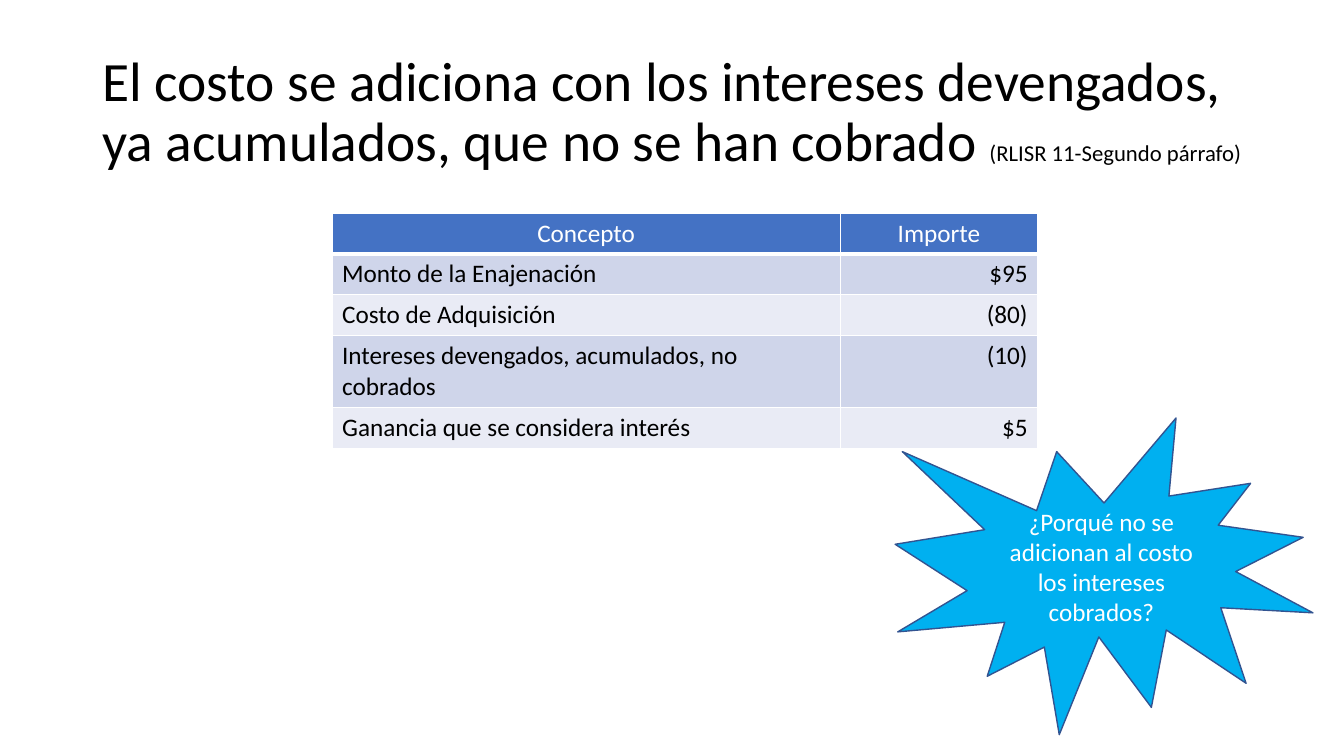
import lxml.etree
import pptx
import pptx.dml.color
import pptx.enum.shapes
import pptx.enum.text
import pptx.oxml.ns
import pptx.util

Pt = pptx.util.Pt
RGBColor = pptx.dml.color.RGBColor
ALIGN = pptx.enum.text.PP_ALIGN
ANCHOR = pptx.enum.text.MSO_ANCHOR
qn = pptx.oxml.ns.qn

WHITE = RGBColor(0xFF, 0xFF, 0xFF)
BLACK = RGBColor(0x00, 0x00, 0x00)
HEADER_BLUE = RGBColor(0x44, 0x72, 0xC4)
BANDS = (RGBColor(0xCF, 0xD5, 0xEA), RGBColor(0xE9, 0xEB, 0xF5))
STAR_BLUE = RGBColor(0x00, 0xB0, 0xF0)
STAR_LINE = RGBColor(0x32, 0x54, 0x91)

ROWS = (
    ("Concepto", "Importe"),
    ("Monto de la Enajenación", "$95"),
    ("Costo de Adquisición", "(80)"),
    ("Intereses devengados, acumulados, no cobrados", "(10)"),
    ("Ganancia que se considera interés", "$5"),
)
COLUMN_WIDTHS = (363, 141)
ROW_HEIGHTS = (29.2, 29.2, 29.2, 50.7, 29.2)


def write_text(para, text, size=18, color=BLACK, align=ALIGN.LEFT):
    para.alignment = align
    span = para.add_run()
    span.text = text
    span.font.name = "Calibri"
    span.font.size = Pt(size)
    span.font.bold = False
    span.font.color.rgb = color


def place(shape, left, top, width, height):
    shape.left, shape.top = Pt(left), Pt(top)
    shape.width, shape.height = Pt(width), Pt(height)


def add_title(page):
    title = page.shapes.title
    place(title, 66, 28.75, 828, 104.4)
    frame = title.text_frame
    frame.word_wrap = True
    frame.auto_size = pptx.enum.text.MSO_AUTO_SIZE.NONE
    frame.vertical_anchor = ANCHOR.MIDDLE
    para = frame.paragraphs[0]
    para.line_spacing = 0.9
    write_text(para, "El costo se adiciona con los intereses devengados, "
               "ya acumulados, que no se han cobrado ", size=39.6)
    write_text(para, "(RLISR 11-Segundo párrafo)", size=16.2)


def set_borders(cell, bottom):
    properties = cell._tc.get_or_add_tcPr()
    for side, width in (("L", 1), ("R", 1), ("T", 1), ("B", bottom)):
        line = lxml.etree.SubElement(properties, qn("a:ln" + side), w=str(Pt(width)))
        fill = lxml.etree.SubElement(line, qn("a:solidFill"))
        lxml.etree.SubElement(fill, qn("a:srgbClr"), val=str(WHITE))


def add_gain_table(page):
    frame = page.shapes.add_table(len(ROWS), len(COLUMN_WIDTHS), Pt(237.2), Pt(152.2),
                                  Pt(sum(COLUMN_WIDTHS)), Pt(sum(ROW_HEIGHTS)))
    table = frame.table
    for column, width in zip(table.columns, COLUMN_WIDTHS):
        column.width = Pt(width)
    for row, height in zip(table.rows, ROW_HEIGHTS):
        row.height = Pt(height)
    for r, texts in enumerate(ROWS):
        header = r == 0
        for c, text in enumerate(texts):
            cell = table.cell(r, c)
            set_borders(cell, bottom=3 if header else 1)
            cell.fill.solid()
            cell.fill.fore_color.rgb = HEADER_BLUE if header else BANDS[(r - 1) % 2]
            body_align = ALIGN.RIGHT if c else ALIGN.LEFT
            write_text(cell.text_frame.paragraphs[0], text,
                       color=WHITE if header else BLACK,
                       align=ALIGN.CENTER if header else body_align)


def add_star(page, text):
    star = page.shapes.add_shape(pptx.enum.shapes.MSO_SHAPE.EXPLOSION1,
                                 Pt(639.4), Pt(298.6), Pt(298.4), Pt(226.2))
    star.shadow.inherit = False
    star.fill.solid()
    star.fill.fore_color.rgb = STAR_BLUE
    star.line.color.rgb = STAR_LINE
    star.line.width = Pt(1)
    frame = star.text_frame
    frame.word_wrap = True
    frame.vertical_anchor = ANCHOR.MIDDLE
    write_text(frame.paragraphs[0], text, color=WHITE, align=ALIGN.CENTER)


def main():
    deck = pptx.Presentation()
    deck.slide_width, deck.slide_height = Pt(960), Pt(540)
    page = deck.slides.add_slide(deck.slide_layouts[5])
    add_title(page)
    add_gain_table(page)
    add_star(page, "¿Porqué no se adicionan al costo los intereses cobrados?")
    deck.save("out.pptx")


if __name__ == "__main__":
    main()
